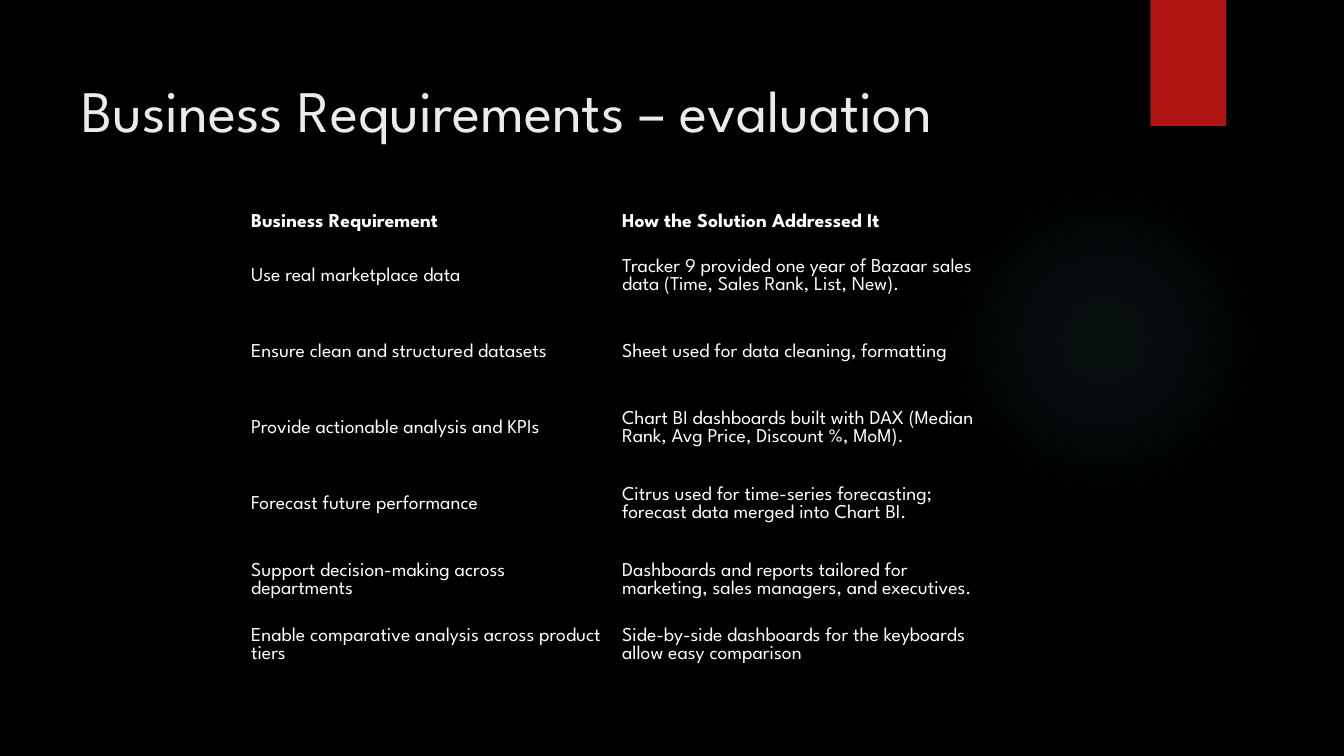
from lxml import etree
from pptx import Presentation
from pptx.dml.color import RGBColor
from pptx.enum.shapes import MSO_SHAPE
from pptx.enum.text import MSO_ANCHOR
from pptx.oxml.ns import qn
from pptx.util import Pt

OVAL, RECTANGLE = MSO_SHAPE.OVAL, MSO_SHAPE.RECTANGLE
TOP, MIDDLE = MSO_ANCHOR.TOP, MSO_ANCHOR.MIDDLE
FONT = "League Spartan"
COLORS = {"background": "000000", "glow": "50B9C1", "ribbon": "B01513",
          "title": "EBEBEB", "text": "FFFFFF"}
GLOW_STOPS = [(0, 7), (36, 6), (69, 0), (100, 0)]  # position %, opacity %
ROW_HEIGHTS = [21.6] + [54.25] * 5 + [38.4]
REQUIREMENTS = [
    ("Business Requirement", "How the Solution Addressed It"),
    ("Use real marketplace data",
     "Tracker 9 provided one year of Bazaar sales data (Time, Sales Rank, List, New)."),
    ("Ensure clean and structured datasets", "Sheet used for data cleaning, formatting"),
    ("Provide actionable analysis and KPIs",
     "Chart BI dashboards built with DAX (Median Rank, Avg Price, Discount %, MoM)."),
    ("Forecast future performance",
     "Citrus used for time-series forecasting; forecast data merged into Chart BI."),
    ("Support decision-making across departments",
     "Dashboards and reports tailored for marketing, sales managers, and executives."),
    ("Enable comparative analysis across product tiers",
     "Side-by-side dashboards for the keyboards allow easy comparison"),
]


def color(name):
    return RGBColor.from_string(COLORS[name])


def style_text(paragraph, size, color_name, bold=False):
    for run in paragraph.runs:
        run.font.name = FONT
        run.font.size = Pt(size)
        run.font.bold = bold
        run.font.color.rgb = color(color_name)


def add_plain_shape(slide, kind, left, top, width, height, color_name):
    shape = slide.shapes.add_shape(kind, Pt(left), Pt(top), Pt(width), Pt(height))
    shape.shadow.inherit = False
    shape.line.fill.background()
    shape.fill.solid()
    shape.fill.fore_color.rgb = color(color_name)
    return shape


def add_glow(slide, left, top, size):
    glow = add_plain_shape(slide, OVAL, left, top, size, size, "glow")
    # Radial gradient that fades out towards the rim
    gradient = etree.Element(qn("a:gradFill"), rotWithShape="1")
    stops = etree.SubElement(gradient, qn("a:gsLst"))
    for position, opacity in GLOW_STOPS:
        stop = etree.SubElement(stops, qn("a:gs"), pos=str(position * 1000))
        tint = etree.SubElement(stop, qn("a:srgbClr"), val=COLORS["glow"])
        etree.SubElement(tint, qn("a:alpha"), val=str(opacity * 1000))
    circle = etree.SubElement(gradient, qn("a:path"), path="circle")
    etree.SubElement(circle, qn("a:fillToRect"), l="50000", t="50000", r="50000", b="50000")
    properties = glow.element.spPr
    properties.replace(properties.find(qn("a:solidFill")), gradient)


def add_title(slide, left, top, width, height):
    title = slide.shapes.add_textbox(Pt(left), Pt(top), Pt(width), Pt(height))
    frame = title.text_frame
    frame.word_wrap = True
    frame.vertical_anchor = TOP
    frame.margin_top = Pt(16.7)
    frame.text = "Business Requirements – evaluation"
    style_text(frame.paragraphs[0], 42, "title")


def add_requirements_table(slide, left, top, width):
    columns = len(REQUIREMENTS[0])
    table = slide.shapes.add_table(len(REQUIREMENTS), columns, Pt(left), Pt(top),
                                   Pt(width), Pt(sum(ROW_HEIGHTS))).table
    table.horz_banding = False
    for column in table.columns:
        column.width = Pt(width / columns)
    for row_index, entries in enumerate(REQUIREMENTS):
        table.rows[row_index].height = Pt(ROW_HEIGHTS[row_index])
        for column_index, entry in enumerate(entries):
            cell = table.cell(row_index, column_index)
            cell.text_frame.text = entry
            cell.vertical_anchor = MIDDLE
            cell.margin_left = cell.margin_right = Pt(5.4)
            cell.margin_top = cell.margin_bottom = Pt(2.7)
            style_text(cell.text_frame.paragraphs[0], 14, "text", bold=row_index == 0)
            # Hide the borders that come with the table style
            properties = cell._tc.get_or_add_tcPr()
            for side in ("lnL", "lnR", "lnT", "lnB"):
                border = etree.SubElement(properties, qn(f"a:{side}"), w="0")
                etree.SubElement(border, qn("a:noFill"))
            cell.fill.background()


def build_evaluation_slide(presentation):
    slide = presentation.slides.add_slide(presentation.slide_layouts[6])
    slide.background.fill.solid()
    slide.background.fill.fore_color.rgb = color("background")
    # Decoration
    add_glow(slide, 677.5, 131.8, 221.8)
    add_plain_shape(slide, RECTANGLE, 821.8, 0, 54, 90, "ribbon")
    # Content
    add_title(slide, 51, 36, 741, 110)
    add_requirements_table(slide, 174, 148.3, 530)


def main():
    presentation = Presentation()
    presentation.slide_width = Pt(960)
    presentation.slide_height = Pt(540)
    build_evaluation_slide(presentation)
    presentation.save("out.pptx")


if __name__ == "__main__":
    main()
